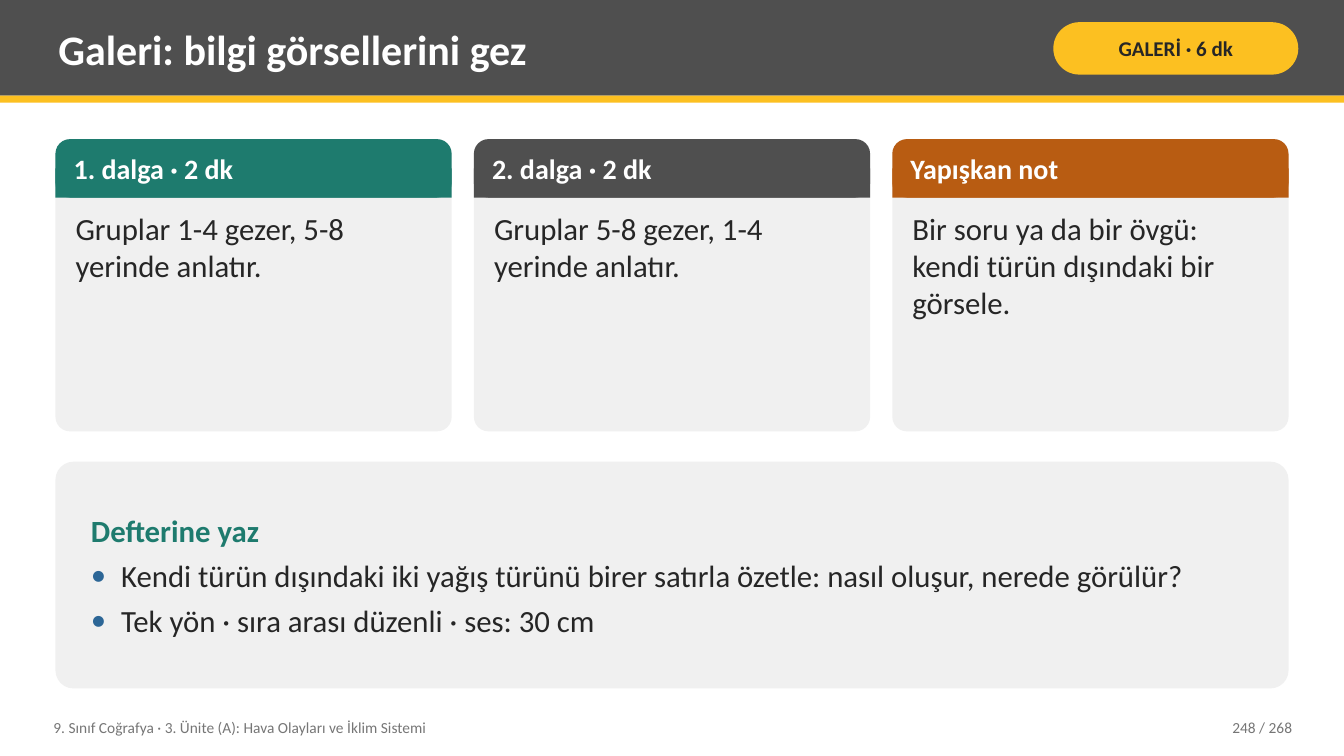
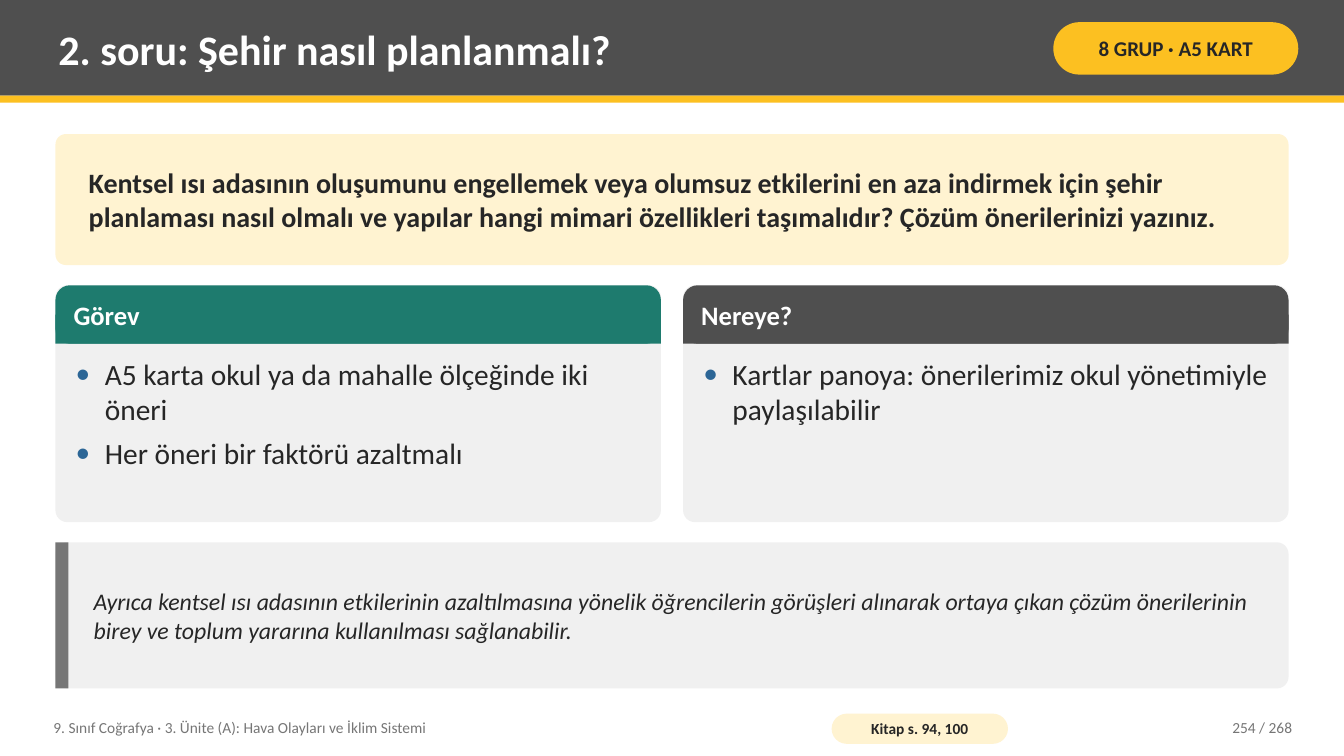
from lxml import etree
from pptx import Presentation
from pptx.dml.color import RGBColor
from pptx.enum import shapes, text
from pptx.oxml import ns
from pptx.util import Pt

WHITE = RGBColor(0xFF, 0xFF, 0xFF)
INK = RGBColor(0x26, 0x26, 0x26)
CHARCOAL = RGBColor(0x4F, 0x4F, 0x4F)
GRAY = RGBColor(0x76, 0x76, 0x76)
PALE = RGBColor(0xF0, 0xF0, 0xF0)
YELLOW = RGBColor(0xFC, 0xC0, 0x21)
CREAM = RGBColor(0xFF, 0xF3, 0xD1)
TEAL = RGBColor(0x1E, 0x7B, 0x6E)
RUST = RGBColor(0xB8, 0x5C, 0x12)
BLUE = RGBColor(0x2C, 0x66, 0x96)

FONT = "Calibri"
PAGE_WIDTH, PAGE_HEIGHT = 960, 540
MARGIN = 39.6
CONTENT_WIDTH = PAGE_WIDTH - 2 * MARGIN
CARD_GAP = 15.84
HEAD_HEIGHT = 41.76
CARD_PAD = 8.64
TEXT_INSETS = (5.76, 2.88)
PANEL_INSETS = (21.6, 5.76)
COURSE = "9. Sınıf Coğrafya · 3. Ünite (A): Hava Olayları ve İklim Sistemi"
PAGE_TOTAL = 268


def panel(slide, left, top, width, height, fill, rounding=None):
    preset = shapes.MSO_SHAPE.RECTANGLE if rounding is None else shapes.MSO_SHAPE.ROUNDED_RECTANGLE
    block = slide.shapes.add_shape(preset, Pt(left), Pt(top), Pt(width), Pt(height))
    if rounding is not None:
        block.adjustments[0] = rounding
    block.shadow.inherit = False
    block.fill.solid()
    block.fill.fore_color.rgb = fill
    block.line.fill.background()
    return block


def write(holder, lines, size, color=INK, bold=False, italic=False,
          align=text.PP_ALIGN.LEFT, anchor=text.MSO_ANCHOR.MIDDLE,
          insets=TEXT_INSETS, hang=0, first_bullet=0):
    frame = holder.text_frame
    frame.word_wrap = True
    frame.vertical_anchor = anchor
    frame.margin_left = frame.margin_right = Pt(insets[0])
    frame.margin_top = frame.margin_bottom = Pt(insets[1])
    frame.text = "\n".join(lines)
    for index, paragraph in enumerate(frame.paragraphs):
        paragraph.alignment = align
        if index < len(lines) - 1:
            paragraph.space_after = Pt(6)
        if hang and index >= first_bullet:
            props = paragraph._p.get_or_add_pPr()
            props.set("marL", str(Pt(hang)))
            props.set("indent", str(-Pt(hang)))
            bullet_color = etree.SubElement(props, ns.qn("a:buClr"))
            etree.SubElement(bullet_color, ns.qn("a:srgbClr"), val=str(BLUE))
            etree.SubElement(props, ns.qn("a:buFont"), typeface=FONT)
            etree.SubElement(props, ns.qn("a:buChar"), char="•")
        for run in paragraph.runs:
            run.font.name = FONT
            run.font.size = Pt(size)
            run.font.bold = bold
            run.font.italic = italic
            run.font.color.rgb = color


deck = Presentation()
deck.slide_width, deck.slide_height = Pt(PAGE_WIDTH), Pt(PAGE_HEIGHT)

lessons = [
    dict(title="Galeri: bilgi görsellerini gez", tag="GALERİ · 6 dk", page=248,
         top=99.36, height=208.8, head_size=20, body_size=22, hang=0,
         cards=[
             ("1. dalga · 2 dk", TEAL, ["Gruplar 1-4 gezer, 5-8 yerinde anlatır."]),
             ("2. dalga · 2 dk", CHARCOAL, ["Gruplar 5-8 gezer, 1-4 yerinde anlatır."]),
             ("Yapışkan not", RUST, ["Bir soru ya da bir övgü: kendi türün dışındaki bir görsele."]),
         ]),
    dict(title="2. soru: Şehir nasıl planlanmalı?", tag="8 GRUP · A5 KART", page=254,
         top=203.76, height=169.2, head_size=19, body_size=21, hang=20.88,
         cards=[
             ("Görev", TEAL, ["A5 karta okul ya da mahalle ölçeğinde iki öneri",
                              "Her öneri bir faktörü azaltmalı"]),
             ("Nereye?", CHARCOAL,
              ["Kartlar panoya: önerilerimiz okul yönetimiyle paylaşılabilir"]),
         ]),
]

for lesson in lessons:
    slide = deck.slides.add_slide(deck.slide_layouts[6])
    panel(slide, 0, 0, PAGE_WIDTH, 68.4, CHARCOAL)
    panel(slide, 0, 68.4, PAGE_WIDTH, 5.04, YELLOW)
    title = slide.shapes.add_textbox(Pt(36), Pt(5), Pt(702), Pt(59))
    write(title, [lesson["title"]], 30, WHITE, bold=True)
    tag = panel(slide, 752.4, 15.84, 175, 37.44, YELLOW, 0.5)
    write(tag, [lesson["tag"]], 15, bold=True, align=text.PP_ALIGN.CENTER, insets=(3.6, 1.44))

    top, height, cards = lesson["top"], lesson["height"], lesson["cards"]
    card_width = (CONTENT_WIDTH - CARD_GAP * (len(cards) - 1)) / len(cards)
    for column, (heading, accent, lines) in enumerate(cards):
        left = MARGIN + column * (card_width + CARD_GAP)
        panel(slide, left, top, card_width, height, PALE, 0.05)
        panel(slide, left, top, card_width, HEAD_HEIGHT, accent, 0.25)
        panel(slide, left, top + HEAD_HEIGHT / 2, card_width, HEAD_HEIGHT / 2, accent)
        head = slide.shapes.add_textbox(Pt(left + 7.2), Pt(top), Pt(card_width - 14.4),
                                        Pt(HEAD_HEIGHT))
        write(head, [heading], lesson["head_size"], WHITE, bold=True)
        body = slide.shapes.add_textbox(Pt(left + CARD_PAD), Pt(top + HEAD_HEIGHT + 5.76),
                                        Pt(card_width - 2 * CARD_PAD),
                                        Pt(height - HEAD_HEIGHT - 11.52))
        write(body, lines, lesson["body_size"], anchor=text.MSO_ANCHOR.TOP, hang=lesson["hang"])

    course = slide.shapes.add_textbox(Pt(32.4), Pt(506.88), Pt(547.2), Pt(25.92))
    write(course, [COURSE], 11, GRAY)
    page = slide.shapes.add_textbox(Pt(813.6), Pt(506.88), Pt(115.2), Pt(25.92))
    write(page, [f"{lesson['page']} / {PAGE_TOTAL}"], 11, GRAY, align=text.PP_ALIGN.RIGHT)

gallery, city = deck.slides

notebook = panel(gallery, MARGIN, 329.76, CONTENT_WIDTH, 162, PALE, 0.08)
write(notebook, [
    "Defterine yaz",
    "Kendi türün dışındaki iki yağış türünü birer satırla özetle: nasıl oluşur, nerede görülür?",
    "Tek yön · sıra arası düzenli · ses: 30 cm",
], 22, insets=PANEL_INSETS, hang=21.6, first_bullet=1)
notebook_heading = notebook.text_frame.paragraphs[0].runs[0]
notebook_heading.font.bold = True
notebook_heading.font.color.rgb = TEAL

question = panel(city, MARGIN, 95.76, CONTENT_WIDTH, 93.6, CREAM, 0.08)
write(question, [
    "Kentsel ısı adasının oluşumunu engellemek veya olumsuz etkilerini en aza indirmek için şehir "
    "planlaması nasıl olmalı ve yapılar hangi mimari özellikleri taşımalıdır? "
    "Çözüm önerilerinizi yazınız."
], 20, bold=True, insets=PANEL_INSETS)

panel(city, MARGIN, 387.36, CONTENT_WIDTH, 104.4, PALE, 0.08)
panel(city, MARGIN, 387.36, 9.36, 104.4, GRAY)
remark = city.shapes.add_textbox(Pt(61.2), Pt(387.36), Pt(848.4), Pt(104.4))
write(remark, [
    "Ayrıca kentsel ısı adasının etkilerinin azaltılmasına yönelik öğrencilerin görüşleri alınarak "
    "ortaya çıkan çözüm önerilerinin birey ve toplum yararına kullanılması sağlanabilir."
], 17, italic=True)

book_pages = panel(city, 594, 509.76, 126, 21.6, CREAM, 0.5)
write(book_pages, ["Kitap s. 94, 100"], 11, bold=True, align=text.PP_ALIGN.CENTER,
      insets=(2.88, 0))

deck.save("out.pptx")
